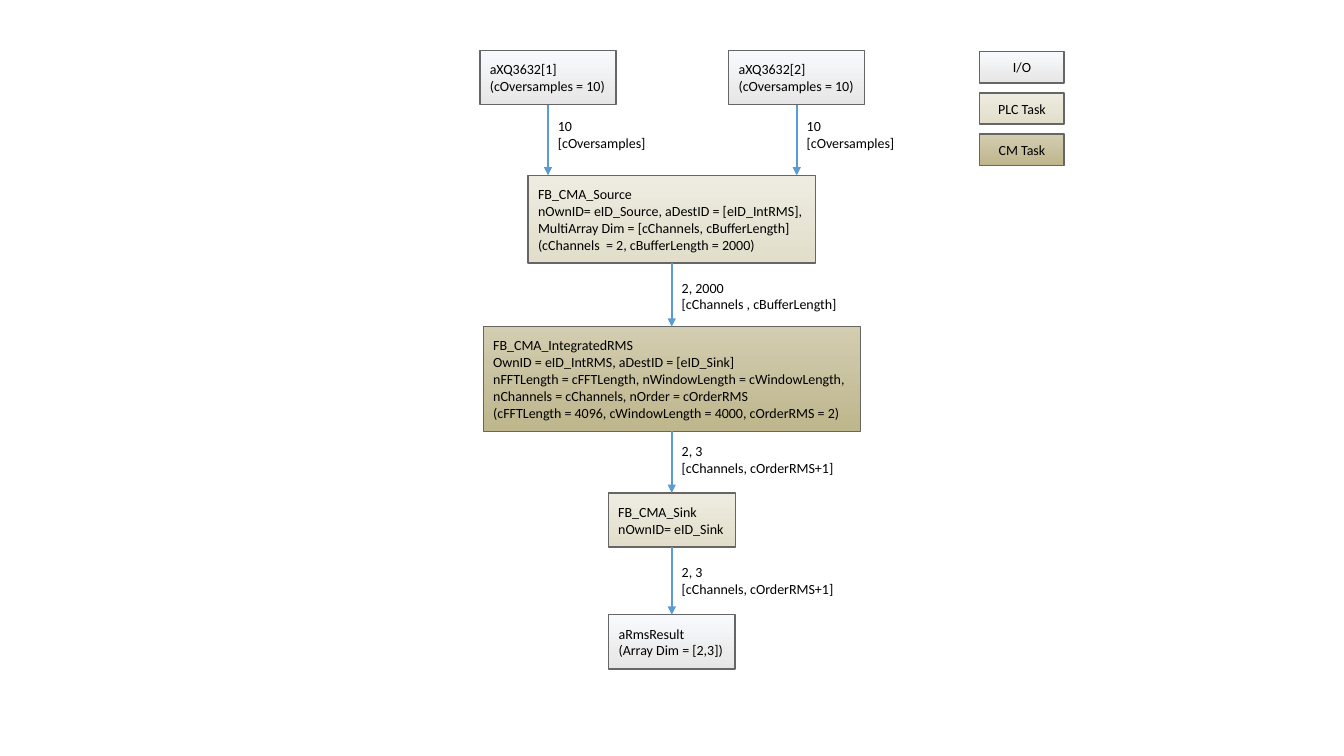
from lxml import etree
from pptx import Presentation
from pptx.dml.color import RGBColor
from pptx.enum.shapes import MSO_CONNECTOR, MSO_SHAPE
from pptx.enum.text import MSO_ANCHOR, MSO_AUTO_SIZE, PP_ALIGN
from pptx.oxml.ns import qn
from pptx.util import Cm, Pt

BLACK = RGBColor(0x00, 0x00, 0x00)
BORDER = RGBColor(0x66, 0x66, 0x66)
ARROW = RGBColor(0x5B, 0x9B, 0xD5)
IO = (RGBColor(0xF7, 0xFA, 0xFD), RGBColor(0xE7, 0xE6, 0xE6))
PLC = (RGBColor(0xEE, 0xEC, 0xE1), RGBColor(0xE2, 0xDE, 0xCB))
CM = (RGBColor(0xD3, 0xCD, 0xB1), RGBColor(0xBE, 0xB6, 0x8C))

CENTER = 16.93
SENSOR_CENTERS = (13.81, 20.08)
SENSOR_TOP, SENSOR_HEIGHT = 1.27, 1.37
LEGEND = (("I/O", IO), ("PLC Task", PLC), ("CM Task", CM))

# Top, width, height, gradient and text of each step; \v breaks a line inside a paragraph
STEPS = (
    (4.42, 7.24, 2.21, PLC,
     "FB_CMA_Source\vnOwnID= eID_Source, aDestID = [eID_IntRMS],\v"
     "MultiArray Dim = [cChannels, cBufferLength]\n"
     "(cChannels  = 2, cBufferLength = 2000)"),
    (8.23, 9.5, 2.64, CM,
     "FB_CMA_IntegratedRMS\n"
     "OwnID = eID_IntRMS, aDestID = [eID_Sink]\v"
     "nFFTLength = cFFTLength, nWindowLength = cWindowLength,\n"
     "nChannels = cChannels, nOrder = cOrderRMS\n"
     "(cFFTLength = 4096, cWindowLength = 4000, cOrderRMS = 2)"),
    (12.42, 3.2, 1.37, PLC, "FB_CMA_Sink\vnOwnID= eID_Sink"),
    (15.49, 3.18, 1.37, IO, "aRmsResult\n(Array Dim = [2,3])"),
)
# Top, width and text of the label beside each arrow between steps
STEP_LABELS = (
    (6.91, 4.5, "2, 2000\n[cChannels , cBufferLength]"),
    (11.02, 4.39, "2, 3\n[cChannels, cOrderRMS+1]"),
    (14.07, 4.39, "2, 3\n[cChannels, cOrderRMS+1]"),
)


def write_text(tf, text, align=PP_ALIGN.LEFT):
    tf.text = text
    for p in tf.paragraphs:
        p.alignment = align
        p.font.name = "Calibri"
        p.font.size = Pt(10)
        p.font.color.rgb = BLACK


def fit_to_text(tf):
    tf.word_wrap = False
    tf.auto_size = MSO_AUTO_SIZE.SHAPE_TO_FIT_TEXT


def add_box(slide, left, top, width, height, gradient):
    sp = slide.shapes.add_shape(MSO_SHAPE.RECTANGLE, Cm(left), Cm(top),
                                Cm(width), Cm(height))
    sp.shadow.inherit = False
    sp.fill.gradient()
    sp.fill.gradient_angle = 270
    for stop, color in zip(sp.fill.gradient_stops, gradient):
        stop.color.rgb = color
    sp.line.color.rgb = BORDER
    sp.line.width = Pt(1)
    sp.text_frame.vertical_anchor = MSO_ANCHOR.MIDDLE
    return sp


def add_step(slide, center, top, width, height, gradient, text):
    """Add a box that is centred on an arrow line and grows with its text."""
    sp = add_box(slide, center - width / 2, top, width, height, gradient)
    tf = sp.text_frame
    tf.margin_left = tf.margin_right = tf.margin_top = tf.margin_bottom = Cm(0.25)
    write_text(tf, text)
    fit_to_text(tf)


def add_legend_key(slide, row, text, gradient):
    sp = add_box(slide, 24.69, 1.3 + row * 1.04, 2.13, 0.79, gradient)
    write_text(sp.text_frame, text, PP_ALIGN.CENTER)


def add_label(slide, left, top, width, text):
    sp = slide.shapes.add_textbox(Cm(left), Cm(top), Cm(width), Cm(1.12))
    write_text(sp.text_frame, text)
    fit_to_text(sp.text_frame)


def add_arrow(slide, x, top, bottom):
    line = slide.shapes.add_connector(MSO_CONNECTOR.STRAIGHT, Cm(x), Cm(top),
                                      Cm(x), Cm(bottom))
    line.line.color.rgb = ARROW
    line.line.width = Pt(1.75)
    etree.SubElement(line.line._get_or_add_ln(), qn("a:tailEnd"), type="triangle")
    etree.SubElement(line._element.spPr, qn("a:effectLst"))


def main():
    prs = Presentation()
    prs.slide_width, prs.slide_height = Cm(33.87), Cm(19.05)
    slide = prs.slides.add_slide(prs.slide_layouts[6])

    for row, (text, gradient) in enumerate(LEGEND):
        add_legend_key(slide, row, text, gradient)

    for number, center in enumerate(SENSOR_CENTERS, start=1):
        add_step(slide, center, SENSOR_TOP, 3.43, SENSOR_HEIGHT, IO,
                 f"aXQ3632[{number}]\n(cOversamples = 10)")
        add_arrow(slide, center, SENSOR_TOP + SENSOR_HEIGHT, STEPS[0][0])
        add_label(slide, center, 2.84, 2.77, "10\n[cOversamples]")

    for step in STEPS:
        add_step(slide, CENTER, *step)
    for (top, _, height, *_), following, label in zip(STEPS, STEPS[1:], STEP_LABELS):
        add_arrow(slide, CENTER, top + height, following[0])
        add_label(slide, CENTER, *label)

    prs.save("out.pptx")


if __name__ == "__main__":
    main()
